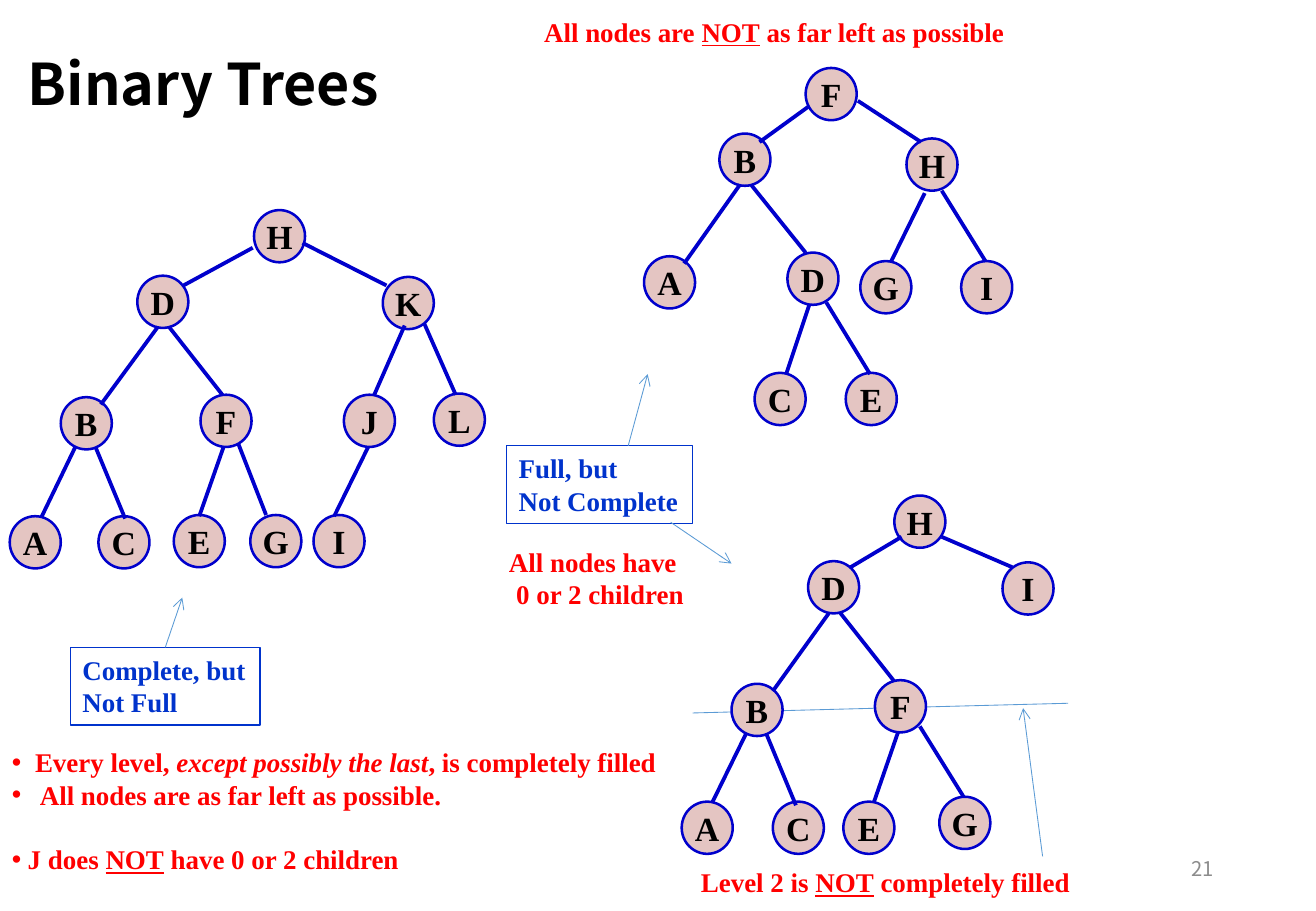
import pptx
import pptx.util
import pptx.dml.color
import pptx.enum.shapes
import pptx.enum.text
import pptx.oxml.ns
from lxml import etree

Inches, Pt = pptx.util.Inches, pptx.util.Pt
RGB = pptx.dml.color.RGBColor
ALIGN = pptx.enum.text.PP_ALIGN
ANCHOR = pptx.enum.text.MSO_ANCHOR
SHAPE = pptx.enum.shapes.MSO_SHAPE
qn = pptx.oxml.ns.qn

BLACK = RGB(0, 0, 0)
GREY = RGB(0x8C, 0x8C, 0x8C)
RED = RGB(0xFF, 0, 0)
BLUE = RGB(0, 0x33, 0xCC)
NAVY = RGB(0, 0, 0xCC)
SKY = RGB(0x5B, 0x9B, 0xD5)
PINK = RGB(0xE4, 0xC5, 0xC2)
SERIF = "Times New Roman"
SANS = "Noto Sans CJK SC"
NODE_W, NODE_H = 0.42, 0.43

# Each node: letter, left, top, then the branch from its parent (x1, y1, x2, y2).
COMPLETE = [
    ("H", 2.09, 0.73),
    ("D", 1.13, 1.27, 2.08, 1.04, 1.51, 1.35),
    ("K", 3.15, 1.28, 2.49, 1.00, 3.18, 1.35),
    ("B", 0.50, 2.27, 1.30, 1.69, 0.83, 2.33),
    ("F", 1.65, 2.25, 1.39, 1.69, 1.83, 2.25),
    ("J", 2.83, 2.25, 3.33, 1.68, 3.08, 2.25),
    ("L", 3.57, 2.24, 3.49, 1.66, 3.75, 2.25),
    ("A", 0.08, 3.25, 0.62, 2.68, 0.34, 3.26),
    ("C", 0.81, 3.25, 0.79, 2.69, 1.03, 3.27),
    ("E", 1.43, 3.24, 1.84, 2.68, 1.64, 3.25),
    ("G", 2.06, 3.24, 1.96, 2.65, 2.19, 3.24),
    ("I", 2.58, 3.24, 3.03, 2.68, 2.75, 3.25),
]
FULL = [
    ("F", 1.63, 0.56),
    ("B", 0.92, 1.10, 1.65, 0.88, 1.25, 1.17),
    ("H", 2.46, 1.14, 2.06, 0.83, 2.58, 1.17),
    ("A", 0.30, 2.11, 1.09, 1.52, 0.63, 2.17),
    ("D", 1.48, 2.08, 1.18, 1.52, 1.63, 2.08),
    ("G", 2.08, 2.15, 2.61, 1.59, 2.33, 2.16),
    ("I", 2.91, 2.15, 2.75, 1.57, 3.11, 2.15),
    ("C", 1.21, 3.07, 1.66, 2.51, 1.47, 3.08),
    ("E", 1.96, 3.07, 1.80, 2.49, 2.16, 3.08),
]
GAPPED = [
    ("H", 2.36, 0.08),
    ("D", 1.65, 0.62, 2.42, 0.42, 2.00, 0.67),
    ("I", 3.25, 0.63, 2.75, 0.42, 3.33, 0.67),
    ("B", 1.02, 1.63, 1.82, 1.05, 1.36, 1.69),
    ("F", 2.20, 1.60, 1.91, 1.04, 2.36, 1.61),
    ("A", 0.61, 2.60, 1.14, 2.04, 0.86, 2.61),
    ("C", 1.36, 2.60, 1.31, 2.05, 1.55, 2.63),
    ("E", 1.94, 2.60, 2.39, 2.03, 2.19, 2.61),
    ("G", 2.73, 2.56, 2.57, 1.98, 2.93, 2.56),
]


def add_run(para, text, size, color, font=SERIF, bold=True, mark=""):
    """Add one run; mark is "u" for underline or "i" for italic."""
    run = para.add_run()
    run.text = text
    run.font.size, run.font.name, run.font.bold = Pt(size), font, bold
    run.font.color.rgb = color
    if mark == "u":
        run.font.underline = True
    if mark == "i":
        run.font.italic = True
    if font == SANS:
        east = etree.SubElement(run.font._element, qn("a:ea"))
        east.set("typeface", font)


def add_line(slide, x1, y1, x2, y2, color, width, arrow=False):
    line = slide.shapes.add_connector(
        pptx.enum.shapes.MSO_CONNECTOR.STRAIGHT,
        Inches(x1), Inches(y1), Inches(x2), Inches(y2))
    line.line.color.rgb = color
    line.line.width = Pt(width)
    if arrow:
        etree.SubElement(line.line._get_or_add_ln(), qn("a:tailEnd")).set("type", "arrow")
    etree.SubElement(line._element.spPr, qn("a:effectLst"))


def add_tree(slide, left, top, nodes):
    for name, x, y, *branch in nodes:
        node = slide.shapes.add_shape(
            SHAPE.OVAL, Inches(left + x), Inches(top + y), Inches(NODE_W), Inches(NODE_H))
        node.shadow.inherit = False
        node.fill.solid()
        node.fill.fore_color.rgb = PINK
        node.line.color.rgb = NAVY
        node.line.width = Pt(1.5)
        frame = node.text_frame
        frame.word_wrap = False
        frame.vertical_anchor = ANCHOR.MIDDLE
        frame.paragraphs[0].alignment = ALIGN.CENTER
        add_run(frame.paragraphs[0], name, 20, BLACK)
    for name, x, y, *branch in nodes:
        if branch:
            x1, y1, x2, y2 = branch
            add_line(slide, left + x1, top + y1, left + x2, top + y2, NAVY, 2.25)


def add_text(slide, box, lines, color=RED, size=16, font=SERIF, bold=True, frame=False):
    """Place lines of (text, mark) runs in a box, with an outline if framed."""
    place = [Inches(v) for v in box]
    if frame:
        shape = slide.shapes.add_shape(SHAPE.RECTANGLE, *place)
        shape.shadow.inherit = False
        shape.fill.background()
        shape.line.color.rgb = color
        shape.line.width = Pt(0.75)
    else:
        shape = slide.shapes.add_textbox(*place)
    body = shape.text_frame
    body.word_wrap = True
    body.vertical_anchor = ANCHOR.TOP
    body.margin_right = 0
    for i, runs in enumerate(lines):
        para = body.add_paragraph() if i else body.paragraphs[0]
        para.alignment = ALIGN.LEFT
        for text, mark in runs:
            add_run(para, text, size, color, font, bold, mark)
    return body


def indent(para, left, bullet=False):
    props = para._p.get_or_add_pPr()
    props.set("marL", str(Inches(left)))
    if bullet:
        props.set("indent", str(-Inches(left)))
        etree.SubElement(props, qn("a:buFont")).set("typeface", "Arial")
        etree.SubElement(props, qn("a:buChar")).set("char", "•")


def add_rules(slide, box):
    body = add_text(slide, box, [
        [("Every level, ", ""), ("except possibly the last", "i"), (", is completely filled", "")],
        [("All nodes are as far left as possible.", "")],
        [("J does ", ""), ("NOT", "u"), (" have 0 or 2 children", "")],
    ])
    body.paragraphs[2].space_before = Pt(19.2)
    for para, left in zip(body.paragraphs, (0.19, 0.23, 0.13)):
        indent(para, left, True)


def add_notes(slide):
    """Place the framed labels, their arrows and the red remarks."""
    add_text(slide, (0.58, 5.33, 1.56, 0.64),
             [[("Complete, but", "")], [("Not Full", "")]], BLUE, frame=True)
    add_text(slide, (4.17, 3.67, 1.53, 0.64),
             [[("Full, but", "")], [("Not Complete", "")]], BLUE, frame=True)
    for ends in ((5.17, 3.67, 5.33, 3.08), (5.52, 4.3, 6.02, 4.64),
                 (1.36, 5.33, 1.5, 4.92), (8.58, 7.05, 8.42, 5.83)):
        add_line(slide, *ends, SKY, 0.5, True)
    body = add_text(slide, (4.09, 4.44, 1.65, 0.64),
                    [[("All nodes have", "")], [("0 or 2 children", "")]])
    indent(body.paragraphs[1], 0.06)
    add_text(slide, (4.38, 0.08, 4.08, 0.37),
             [[("All nodes are ", ""), ("NOT", "u"), (" as far left as possible", "")]])
    add_text(slide, (5.67, 7.08, 3.28, 0.37),
             [[("Level 2 is ", ""), ("NOT", "u"), (" completely filled", "")]])


def main():
    deck = pptx.Presentation()
    deck.slide_width, deck.slide_height = Inches(10.83), Inches(7.5)
    slide = deck.slides.add_slide(deck.slide_layouts[6])
    page = add_text(slide, (7.65, 6.95, 2.34, 0.4), [[("21", "")]], GREY, 12, SANS, False)
    page.vertical_anchor = ANCHOR.MIDDLE
    page.paragraphs[0].alignment = ALIGN.RIGHT
    title = add_text(slide, (0.13, 0.41, 7.92, 0.83), [[("Binary Trees", "")]], BLACK, 34, SANS)
    title.paragraphs[0].line_spacing = 0.9
    add_line(slide, 5.7, 5.87, 8.79, 5.79, SKY, 0.5)
    add_tree(slide, 0, 1, COMPLETE)
    add_tree(slide, 5, 0, FULL)
    add_tree(slide, 5, 4, GAPPED)
    add_notes(slide)
    add_rules(slide, (0, 6.09, 5.58, 1.18))
    deck.save("out.pptx")


if __name__ == "__main__":
    main()
